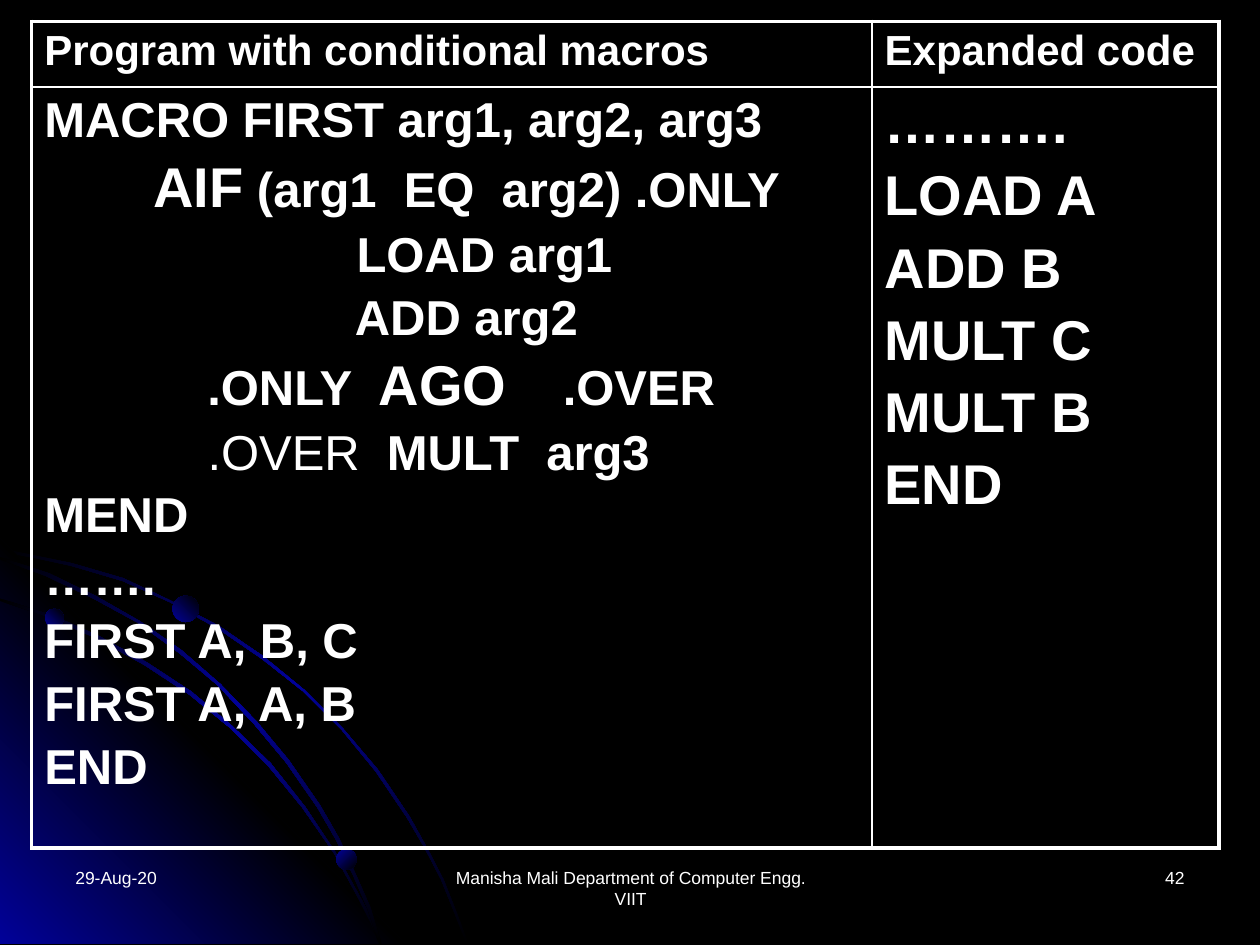
from lxml import etree
from pptx import Presentation, util as u
from pptx.dml.color import RGBColor
from pptx.enum import shapes, text
from pptx.oxml import ns

COLOURS = {"night": "000000", "glow": "010199", "chalk": "FFFFFF"}
BAND = ["night", "glow", "night"]
ORB = ["glow", "night"]
FONT = "Arial"


def write(frame, lines, size=10, bold=False, align=text.PP_ALIGN.LEFT):
    """Fill a frame; a line is a list of (words, format overrides) runs."""
    frame.word_wrap = True
    for number, line in enumerate(lines):
        paragraph = frame.add_paragraph() if number else frame.paragraphs[0]
        paragraph.alignment = align
        if number:
            tallest = max(changes.get("size", size) for _, changes in line)
            paragraph.space_before = u.Pt(round(tallest / 6, 1))
        for words, changes in line:
            run = paragraph.add_run()
            run.text = words
            run.font.name = FONT
            run.font.size = u.Pt(changes.get("size", size))
            run.font.bold = changes.get("bold", bold)
            run.font.color.rgb = RGBColor.from_string(COLOURS["chalk"])


def shade(shape, names, angle):
    """Fill with evenly spaced colours, the angle running clockwise."""
    shape.shadow.inherit = False
    shape.line.fill.background()
    shape.fill.gradient()
    gradient = shape.fill._xPr.find(ns.qn("a:gradFill"))
    for child in list(gradient):
        gradient.remove(child)
    stops = etree.SubElement(gradient, ns.qn("a:gsLst"))
    for number, name in enumerate(names):
        position = 100000 * number // (len(names) - 1)
        stop = etree.SubElement(stops, ns.qn("a:gs"), pos=str(position))
        etree.SubElement(stop, ns.qn("a:srgbClr"), val=COLOURS[name])
    etree.SubElement(gradient, ns.qn("a:lin"), ang=str(angle * 60000), scaled="0")


deck = Presentation()
deck.slide_width, deck.slide_height = u.Cm(25.4), u.Cm(19.05)
slide = deck.slides.add_slide(deck.slide_layouts[6])
slide.background.fill.solid()
slide.background.fill.fore_color.rgb = RGBColor.from_string(COLOURS["night"])

# Backdrop: outlines in hundredths of an inch
outer_arc = [
    (57, 447), (28, 441), (0, 435), (0, 438), (28, 443), (56, 449), (97, 461),
    (135, 478), (173, 499), (208, 523), (241, 549), (271, 579), (298, 612),
    (323, 649), (337, 673), (350, 698), (360, 723), (370, 749), (372, 749),
    (362, 723), (352, 698), (339, 673), (325, 648), (300, 611), (272, 578),
    (242, 548), (209, 521), (174, 497), (136, 477), (98, 459)]
corner = [(322, 749), (0, 749), (0, 427)]
lower_arc = [
    (285, 714), (294, 732), (301, 749), (303, 749), (296, 730), (286, 712),
    (266, 676), (242, 640), (215, 606), (184, 576), (152, 549), (117, 526),
    (79, 505), (41, 488), (0, 475), (0, 477), (39, 490), (77, 507), (115, 528),
    (150, 551), (183, 578), (213, 608), (240, 641), (265, 677)]
middle_arc = [
    (0, 442), (0, 444), (36, 457), (74, 475), (109, 494), (142, 518),
    (173, 544), (202, 575), (227, 605), (252, 641), (267, 667), (280, 694),
    (292, 722), (301, 749), (303, 749), (294, 720), (282, 693), (269, 665),
    (254, 639), (229, 603), (204, 573), (175, 543), (144, 516), (111, 493),
    (76, 473), (39, 455)]
for outline, names, angle in [
        (outer_arc, BAND, 45), (corner, ["glow", "night", "glow"], 315),
        (lower_arc, BAND, 45), (middle_arc, BAND, 45)]:
    builder = slide.shapes.build_freeform(*outline[0], scale=u.Cm(0.0254))
    builder.add_line_segments(outline[1:], close=True)
    shade(builder.convert_to_shape(), names, angle)

for left, top, diameter, angle in [
        (0.91, 12.27, 0.38, 315), (6.78, 17.12, 0.41, 45), (3.48, 12.01, 0.53, 315)]:
    orb = slide.shapes.add_shape(
        shapes.MSO_SHAPE.OVAL, u.Cm(left), u.Cm(top), u.Cm(diameter), u.Cm(diameter))
    shade(orb, ORB, angle)

# Footer
for left, width, words, align in [
        (8.69, 8.05, "Manisha Mali Department of Computer Engg. VIIT", text.PP_ALIGN.CENTER),
        (18.21, 5.92, "42", text.PP_ALIGN.RIGHT),
        (1.27, 5.92, "29-Aug-20", text.PP_ALIGN.LEFT)]:
    footer = slide.shapes.add_textbox(u.Cm(left), u.Cm(17.35), u.Cm(width), u.Cm(1.27))
    write(footer.text_frame, [[(words, {})]], align=align)

# Macro program beside its expansion
big = {"size": 32}
program = [
    [("MACRO FIRST arg1, arg2, arg3", {})],
    [("        ", {}), ("AIF", big), (" (arg1  EQ  arg2) .ONLY", {})],
    [("                       LOAD arg1", {})],
    [("                       ADD arg2", {})],
    [("            .ONLY  ", {}), ("AGO ", big), ("   .OVER", {})],
    [("            ", {}), (".OVER  ", {"bold": False}), ("MULT  arg3", {})],
    *[[(words, {})] for words in
      ["MEND", "…….", "FIRST A, B, C", "FIRST A, A, B", "END"]]]
expansion = [[(words, {})] for words in
             ["……….", "LOAD A", "ADD B", "MULT C", "MULT B", "END"]]
contents = [
    [([[("Program with conditional macros", {})]], 24),
     ([[("Expanded code", {})]], 24)],
    [(program, 28), (expansion, 32)]]

table = slide.shapes.add_table(
    2, 2, u.Cm(0.64), u.Cm(0.43), u.Cm(23.93), u.Cm(15.47)).table
table.first_row = table.horz_banding = False
for column, width in zip(table.columns, [16.94, 6.99]):
    column.width = u.Cm(width)
for row, height in zip(table.rows, [1.32, 14.15]):
    row.height = u.Cm(height)

for row, pair in enumerate(contents):
    for column, (lines, size) in enumerate(pair):
        cell = table.cell(row, column)
        write(cell.text_frame, lines, size=size, bold=True)
        properties = cell._tc.get_or_add_tcPr()
        for side, outside in [("L", column == 0), ("R", column == 1),
                              ("T", row == 0), ("B", row == 1)]:
            thickness = u.Pt(2.25 if outside else 1)
            edge = etree.SubElement(properties, ns.qn("a:ln" + side), w=str(int(thickness)))
            paint = etree.SubElement(edge, ns.qn("a:solidFill"))
            etree.SubElement(paint, ns.qn("a:srgbClr"), val=COLOURS["chalk"])
        cell.fill.background()

deck.save("out.pptx")
